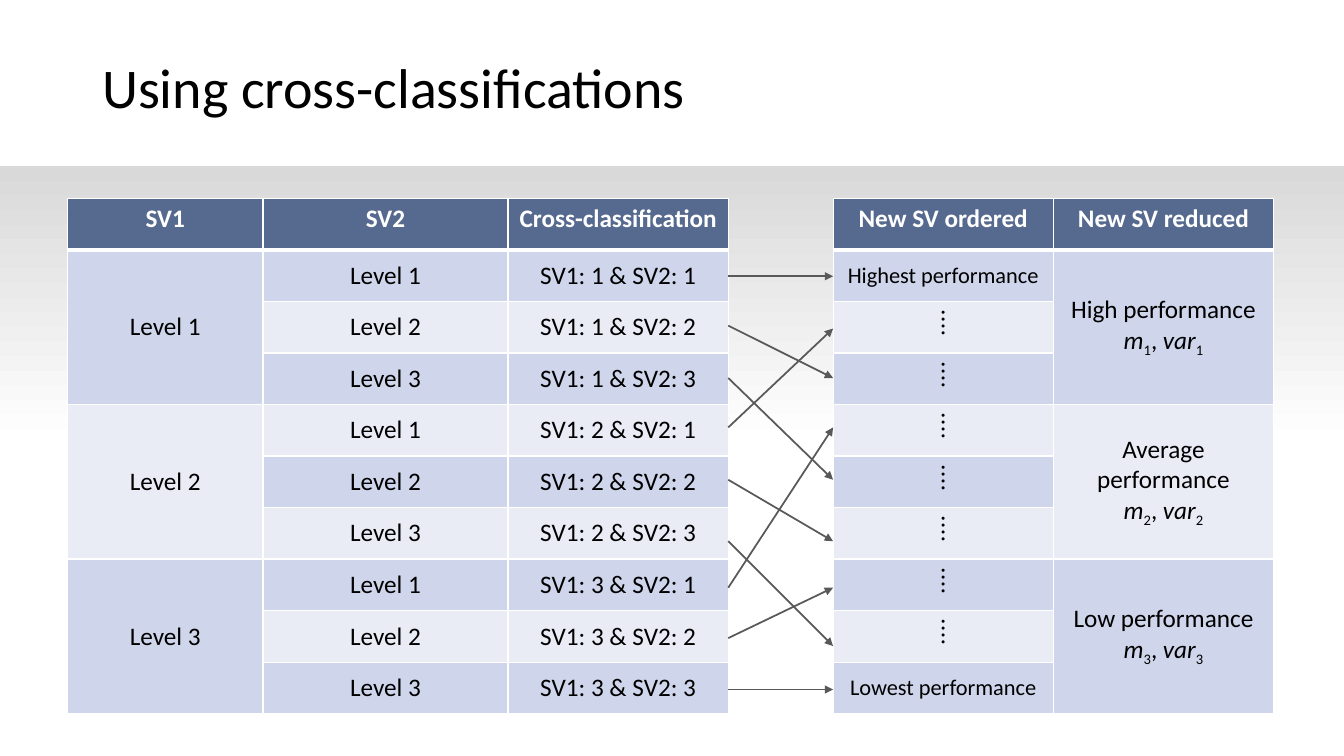
from dataclasses import dataclass
from lxml.etree import SubElement
from pptx import Presentation
from pptx.dml.color import RGBColor
from pptx.enum.shapes import MSO_CONNECTOR, MSO_SHAPE
from pptx.enum.text import MSO_ANCHOR, PP_ALIGN
from pptx.oxml import parse_xml
from pptx.oxml.ns import nsdecls, qn
from pptx.util import Pt


@dataclass(frozen=True)
class Theme:
    font: str = "Calibri"
    title: float = 40
    body: float = 18
    small: float = 16
    black: str = "000000"
    white: str = "FFFFFF"
    shade: str = "D9D9D9"
    header: str = "56698F"
    bands: tuple = ("CFD5EA", "E9EBF5")
    arrow: str = "595959"


@dataclass(frozen=True)
class Entry:
    lines: tuple
    size: float = Theme.body
    anchor: MSO_ANCHOR = MSO_ANCHOR.MIDDLE


T = Theme()
WIDTH, HEIGHT = 960, 540
ROW = 36.8
LEVELS = (1, 2, 3)
# Vertical arrow ends, measured from the top of the tables
START_Y = (55.5, 90.8, 128.2, 163.5, 200.9, 244.8, 278, 314, 350.7)
END_Y = (55.5, 92.9, 128.2, 163.5, 200.9, 244.8, 278, 319.7, 350.7)
NEW_RANK = (1, 3, 5, 2, 6, 8, 4, 7, 9)


def rgb(color):
    return RGBColor.from_string(color)


def write(tf, lines, size=T.body, color=T.black, bold=False,
          align=PP_ALIGN.CENTER, spacing=None):
    """Each line is a string or a sequence of (text, style) runs."""
    for i, line in enumerate(lines):
        p = tf.paragraphs[0] if i == 0 else tf.add_paragraph()
        p.alignment = align
        if spacing:
            p.line_spacing = spacing
        for text, style in [(line, "")] if isinstance(line, str) else line:
            r = p.add_run()
            r.text = text
            r.font.name, r.font.size = T.font, Pt(size)
            r.font.bold, r.font.italic = bold, style == "italic"
            r.font.color.rgb = rgb(color)
            if style == "sub":
                r._r.get_or_add_rPr().set("baseline", "-25000")


def add_background(s, x, y, w, h):
    sp = s.shapes.add_shape(MSO_SHAPE.RECTANGLE, Pt(x), Pt(y), Pt(w), Pt(h))
    sp.shadow.inherit = False
    sp.line.fill.background()
    sp.fill.gradient()
    sp.fill.gradient_angle = 270
    for stop, color, position in zip(sp.fill.gradient_stops, (T.shade, T.white), (0, 1)):
        stop.color.rgb = rgb(color)
        stop.position = position


def add_title(s, x, y, w, h, text):
    tf = s.shapes.add_textbox(Pt(x), Pt(y), Pt(w), Pt(h)).text_frame
    tf.word_wrap = True
    tf.vertical_anchor = MSO_ANCHOR.MIDDLE
    write(tf, [text], size=T.title, align=PP_ALIGN.LEFT, spacing=0.9)


def set_borders(cell, top=1, bottom=1):
    tc_pr = cell._tc.get_or_add_tcPr()
    sides = {"lnL": 1, "lnR": 1, "lnT": top, "lnB": bottom}
    for i, (side, width) in enumerate(sides.items()):
        tc_pr.insert(i, parse_xml(
            f'<a:{side} {nsdecls("a")} w="{Pt(width)}"><a:solidFill>'
            f'<a:srgbClr val="{T.white}"/></a:solidFill></a:{side}>'))


def add_table(s, x, y, widths, heights, columns):
    """Columns map a header to its entries; None continues the cell above."""
    table = s.shapes.add_table(len(heights), len(widths), Pt(x), Pt(y),
                               Pt(sum(widths)), Pt(sum(heights))).table
    for row, h in zip(table.rows, heights):
        row.height = Pt(h)
    for c, (w, (header, entries)) in enumerate(zip(widths, columns.items())):
        table.columns[c].width = Pt(w)
        # Header
        cell = table.cell(0, c)
        cell.fill.solid()
        cell.fill.fore_color.rgb = rgb(T.header)
        set_borders(cell, bottom=3)
        write(cell.text_frame, [header], color=T.white, bold=True)
        # Body, with the fill alternating from entry to entry
        band, start = -1, None
        for i, entry in enumerate(entries, 1):
            cell = table.cell(i, c)
            if entry:
                band, start = band + 1, cell
                cell.vertical_anchor = entry.anchor
                write(cell.text_frame, entry.lines, size=entry.size)
            cell.fill.solid()
            cell.fill.fore_color.rgb = rgb(T.bands[band % 2])
            set_borders(cell, top=3 if i == 1 else 1)
            if not entry and (i == len(entries) or entries[i]):
                start.merge(cell)


def add_arrows(s, x, y, w):
    for start, rank in zip(START_Y, NEW_RANK):
        cx = s.shapes.add_connector(MSO_CONNECTOR.STRAIGHT, Pt(x), Pt(y + start),
                                    Pt(x + w), Pt(y + END_Y[rank - 1]))
        cx.line.color.rgb = rgb(T.arrow)
        cx.line.width = Pt(1.25)
        SubElement(cx.line._get_or_add_ln(), qn("a:tailEnd"), type="triangle")
        SubElement(cx._element.spPr, qn("a:effectLst"))


def add_classification(s, x, y):
    sv_widths, new_width, gap = (139.7, 175), 157.3, 74.9
    rows = [ROW] * 10
    cross_x = x + sum(sv_widths)
    ordered_x = cross_x + new_width + gap

    # Original variables
    sv1 = [Entry((f"Level {a}",)) if b == 1 else None for a in LEVELS for b in LEVELS]
    sv2 = [Entry((f"Level {b}",)) for a in LEVELS for b in LEVELS]
    add_table(s, x, y, sv_widths, rows, {"SV1": sv1, "SV2": sv2})

    # Reduced variable
    reduced = [
        Entry((f"{name} performance",
               (("m", "italic"), (str(n), "sub"), (", ", ""),
                ("var", "italic"), (str(n), "sub"))))
        for n, name in enumerate(("High", "Average", "Low"), 1)]
    add_table(s, ordered_x + new_width, y, [new_width], [ROW] + [3 * ROW] * 3,
              {"New SV reduced": reduced})

    # Cross-classification and its ordering
    cross = [Entry((f"SV1: {a} & SV2: {b}",)) for a in LEVELS for b in LEVELS]
    add_table(s, cross_x, y, [new_width], rows, {"Cross-classification": cross})
    ordered = [Entry(("Highest performance",), T.small),
               *[Entry(("⁞",), anchor=MSO_ANCHOR.TOP)] * 7,
               Entry(("Lowest performance",), T.small)]
    add_table(s, ordered_x, y, [new_width], rows, {"New SV ordered": ordered})
    add_arrows(s, cross_x + new_width, y, gap)


def main():
    prs = Presentation()
    prs.slide_width, prs.slide_height = Pt(WIDTH), Pt(HEIGHT)
    s = prs.slides.add_slide(prs.slide_layouts[6])
    add_background(s, 0, 118.8, WIDTH, 198)
    add_title(s, 66, 12.2, 738.7, 104.4, "Using cross-classifications")
    add_classification(s, 48.2, 141.8)
    prs.save("out.pptx")


if __name__ == "__main__":
    main()
